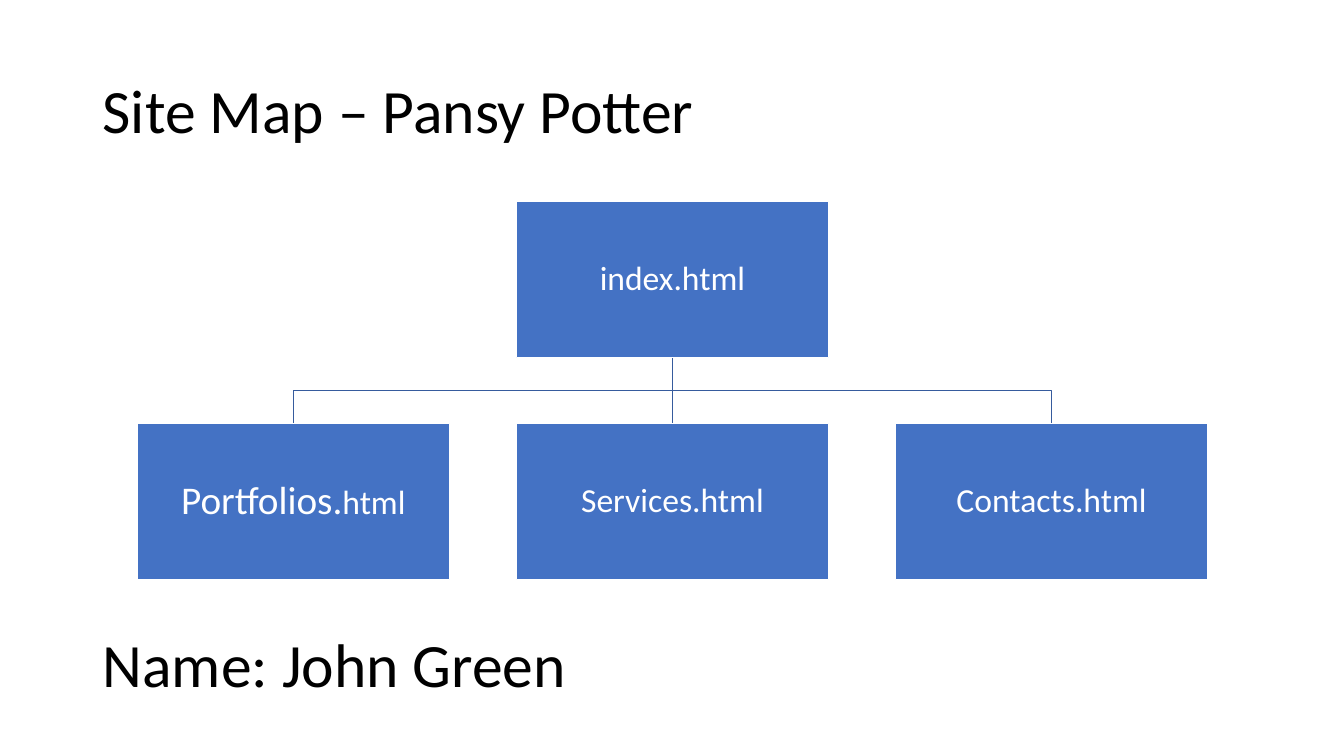
from lxml import etree
from pptx import Presentation
from pptx.dml.color import RGBColor
from pptx.enum.shapes import MSO_CONNECTOR, MSO_SHAPE
from pptx.enum.text import MSO_ANCHOR, PP_ALIGN
from pptx.oxml.ns import qn
from pptx.util import Inches, Pt

RECTANGLE = MSO_SHAPE.RECTANGLE
STRAIGHT = MSO_CONNECTOR.STRAIGHT
MIDDLE = MSO_ANCHOR.MIDDLE
LEFT, CENTER = PP_ALIGN.LEFT, PP_ALIGN.CENTER

FONT = "Calibri"
COLORS = {"text": "000000", "node": "4472C4", "edge": "FFFFFF", "link": "365B9D"}
ROOT = [("index.html", 24)]
CHILDREN = [
    [("Portfolios.", 28), ("html", 24)],
    [("Services.html", 24)],
    [("Contacts.html", 24)],
]
NODE_WIDTH, NODE_HEIGHT = 3.1, 1.55
COLUMN_GAP, ROW_GAP = 0.66, 0.65


def color(name):
    """Return the named colour."""
    return RGBColor.from_string(COLORS[name])


def style_line(shape, name):
    """Give a shape a one point line."""
    shape.line.color.rgb = color(name)
    shape.line.width = Pt(1)


def write_text(frame, spans, color_name, align):
    """Write one vertically centred paragraph from (text, size) spans."""
    frame.word_wrap = True
    frame.vertical_anchor = MIDDLE
    para = frame.paragraphs[0]
    para.alignment = align
    para.line_spacing = 0.9
    for text, size in spans:
        span = para.add_run()
        span.text = text
        span.font.name = FONT
        span.font.size = Pt(size)
        span.font.color.rgb = color(color_name)


def add_heading(page, box, text):
    """Add a large line of text in the given box."""
    heading = page.shapes.add_textbox(*map(Inches, box))
    write_text(heading.text_frame, [(text, 44)], "text", LEFT)


def add_node(page, left, top, spans):
    """Add one labelled page of the site map."""
    node = page.shapes.add_shape(
        RECTANGLE, *map(Inches, (left, top, NODE_WIDTH, NODE_HEIGHT)))
    node.shadow.inherit = False
    node.fill.solid()
    node.fill.fore_color.rgb = color("node")
    style_line(node, "edge")
    frame = node.text_frame
    frame.margin_left = frame.margin_right = Inches(0.02)
    frame.margin_top = frame.margin_bottom = Inches(0.02)
    write_text(frame, spans, "edge", CENTER)


def add_link(page, start_x, end_x, top):
    """Link a parent to a child, with two bends when they are not aligned."""
    bottom = top + ROW_GAP
    if start_x == end_x:
        link = page.shapes.add_connector(
            STRAIGHT, *map(Inches, (start_x, top, end_x, bottom)))
        etree.SubElement(link._element.spPr, qn("a:effectLst"))
    else:
        bend = top + ROW_GAP / 2
        points = [(start_x, bend), (end_x, bend), (end_x, bottom)]
        builder = page.shapes.build_freeform(Inches(start_x), Inches(top))
        builder.add_line_segments(
            [(Inches(x), Inches(y)) for x, y in points], close=False)
        link = builder.convert_to_shape()
        link.shadow.inherit = False
        link.fill.background()
    style_line(link, "link")


def add_site_map(page, box):
    """Add the root page, its child pages and the links between them."""
    left, top, width, height = box
    pitch = NODE_WIDTH + COLUMN_GAP
    middle = len(CHILDREN) // 2
    lefts = [left + column * pitch for column in range(len(CHILDREN))]
    centers = [child_left + NODE_WIDTH / 2 for child_left in lefts]
    for center in reversed(centers):
        add_link(page, centers[middle], center, top + NODE_HEIGHT)
    add_node(page, lefts[middle], top, ROOT)
    for child_left, spans in zip(lefts, CHILDREN):
        add_node(page, child_left, top + height - NODE_HEIGHT, spans)


def main():
    """Build and save the deck."""
    deck = Presentation()
    deck.slide_width, deck.slide_height = Inches(13.33), Inches(7.5)
    page = deck.slides.add_slide(deck.slide_layouts[6])
    add_heading(page, (0.92, 0.4, 11.5, 1.45), "Site Map – Pansy Potter")
    add_site_map(page, (1.36, 2, 10.62, 3.75))
    add_heading(page, (0.92, 5.9, 11.5, 1.45), "Name: John Green")
    deck.save("out.pptx")


main()
